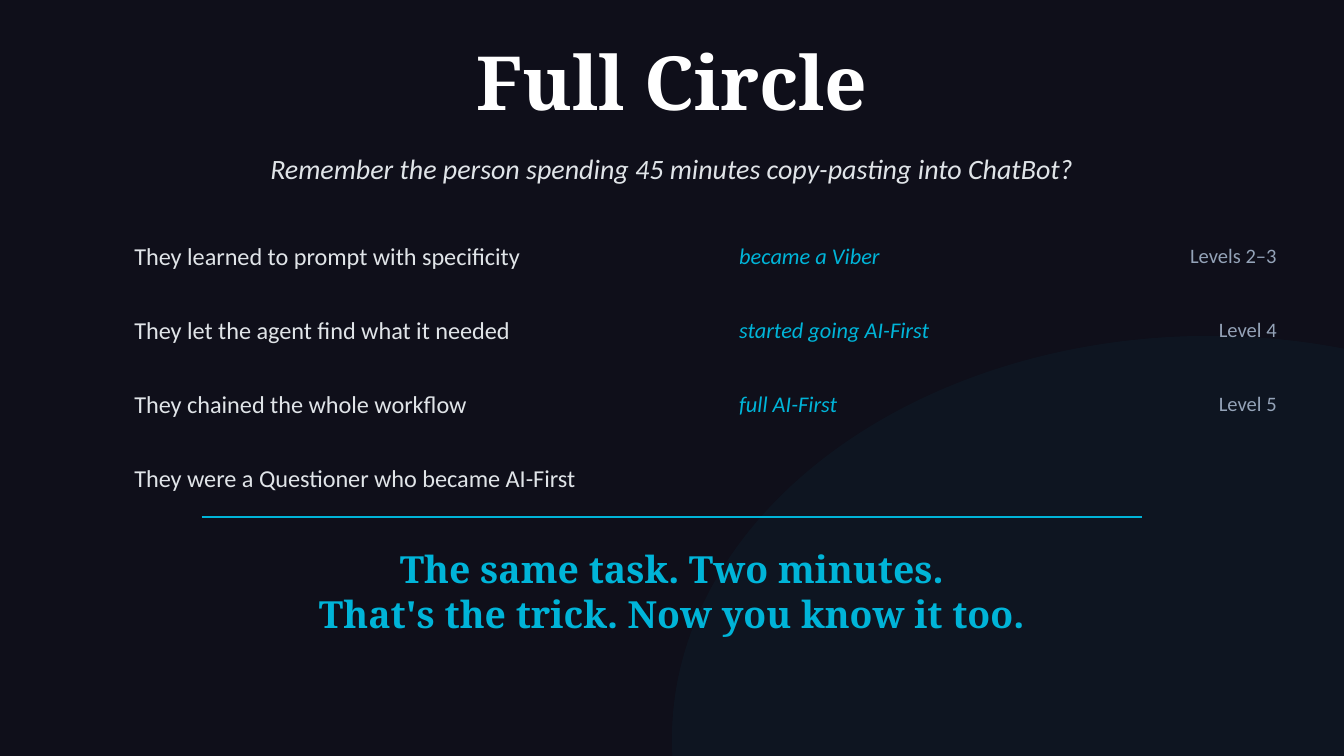
from dataclasses import dataclass

from pptx import Presentation
from pptx.dml.color import RGBColor
from pptx.enum.shapes import MSO_CONNECTOR, MSO_SHAPE
from pptx.enum.text import MSO_ANCHOR, PP_ALIGN
from pptx.oxml.ns import qn
from pptx.slide import Slide
from pptx.util import Cm, Pt
from lxml.etree import SubElement

NIGHT = RGBColor(0x0F, 0x0F, 0x1A)
CYAN = RGBColor(0x00, 0xB4, 0xD8)
WHITE = RGBColor(0xFF, 0xFF, 0xFF)
PALE = RGBColor(0xE0, 0xE4, 0xE8)
GREY = RGBColor(0x94, 0xA3, 0xB8)

ROW_TOP, ROW_STEP, ROW_HIGH = 4.32, 1.4, 1.02


@dataclass(frozen=True)
class Style:
    size: int
    color: RGBColor
    font: str = "Calibri"
    bold: bool = False
    italic: bool = False
    align: PP_ALIGN = PP_ALIGN.CENTER


@dataclass(frozen=True)
class Column:
    left: float
    width: float
    style: Style


@dataclass(frozen=True)
class Step:
    action: str
    role: str = ""
    level: str = ""


TITLE = Style(40, WHITE, "Noto Serif", bold=True)
LEAD = Style(15, PALE, italic=True)
CLOSE = Style(20, CYAN, "Noto Serif", bold=True)

COLUMNS = (
    Column(2.54, 11.43, Style(13, PALE, align=PP_ALIGN.LEFT)),
    Column(13.97, 6.35, Style(12, CYAN, italic=True, align=PP_ALIGN.LEFT)),
    Column(20.32, 3.81, Style(11, GREY, align=PP_ALIGN.RIGHT)),
)

STEPS = (
    Step("They learned to prompt with specificity", "became a Viber", "Levels 2–3"),
    Step("They let the agent find what it needed", "started going AI-First", "Level 4"),
    Step("They chained the whole workflow", "full AI-First", "Level 5"),
    Step("They were a Questioner who became AI-First"),
)


def add_text(slide: Slide, text: str, left: float, top: float,
             width: float, height: float, style: Style) -> None:
    """Add a box without margins; each line of text is a paragraph."""
    box = slide.shapes.add_textbox(Cm(left), Cm(top), Cm(width), Cm(height))
    frame = box.text_frame
    frame.word_wrap = True
    frame.vertical_anchor = MSO_ANCHOR.MIDDLE
    frame.margin_left = frame.margin_right = 0
    frame.margin_top = frame.margin_bottom = 0
    frame.text = text
    for para in frame.paragraphs:
        para.alignment = style.align
        for run in para.runs:
            font = run.font
            font.name, font.size = style.font, Pt(style.size)
            font.bold, font.italic = style.bold, style.italic
            font.color.rgb = style.color


def add_glow(slide: Slide) -> None:
    """Add the faint ellipse that runs off the lower right corner."""
    glow = slide.shapes.add_shape(
        MSO_SHAPE.OVAL, Cm(12.7), Cm(6.35), Cm(20.32), Cm(15.24))
    glow.shadow.inherit = False
    glow.line.fill.background()
    glow.fill.solid()
    glow.fill.fore_color.rgb = CYAN
    color = glow.fill._xPr.find(f"{qn('a:solidFill')}/{qn('a:srgbClr')}")
    SubElement(color, qn("a:alpha"), val="4000")


def add_rule(slide: Slide) -> None:
    rule = slide.shapes.add_connector(
        MSO_CONNECTOR.STRAIGHT, Cm(3.81), Cm(9.78), Cm(21.59), Cm(9.78))
    rule.line.color.rgb = CYAN
    rule.line.width = Pt(1)
    SubElement(rule._element.spPr, qn("a:effectLst"))


def add_steps(slide: Slide) -> None:
    for row, step in enumerate(STEPS):
        top = ROW_TOP + row * ROW_STEP
        for col, text in zip(COLUMNS, (step.action, step.role, step.level)):
            if text:
                add_text(slide, text, col.left, top, col.width, ROW_HIGH, col.style)


def main() -> None:
    deck = Presentation()
    deck.slide_width, deck.slide_height = Cm(25.4), Cm(14.29)
    slide = deck.slides.add_slide(deck.slide_layouts[6])
    back = slide.background.fill
    back.solid()
    back.fore_color.rgb = NIGHT

    add_glow(slide)
    add_text(slide, "Full Circle", 1.27, 0.76, 22.86, 1.52, TITLE)
    add_text(slide, "Remember the person spending 45 minutes copy-pasting into ChatBot?",
             2.54, 2.54, 20.32, 1.27, LEAD)
    add_steps(slide)
    add_rule(slide)
    add_text(slide, "The same task. Two minutes.\nThat's the trick. Now you know it too.",
             2.54, 10.16, 20.32, 2.03, CLOSE)
    deck.save("out.pptx")


if __name__ == "__main__":
    main()
